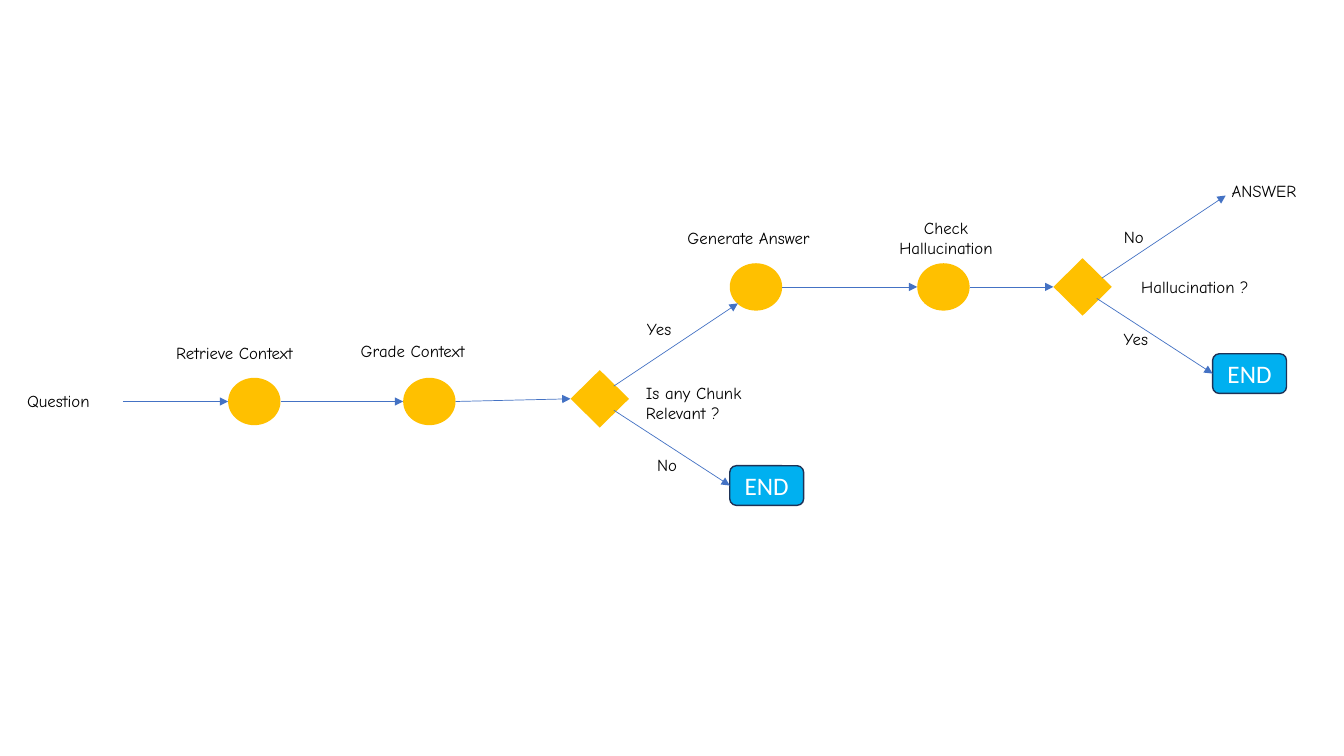
from lxml.etree import SubElement
from pptx import Presentation
from pptx.dml.color import RGBColor
from pptx.enum.shapes import MSO_CONNECTOR, MSO_SHAPE as Preset
from pptx.enum.text import MSO_ANCHOR as Anchor, MSO_AUTO_SIZE as AutoSize, PP_ALIGN as Align
from pptx.oxml.ns import qn
from pptx.util import Inches, Pt

COLORS = {
    "step": "FFC000",
    "end": "00B0F0",
    "end_border": "1E3256",
    "arrow": "4472C4",
    "text": "000000",
    "end_text": "FFFFFF",
}

presentation = Presentation()
presentation.slide_width = Inches(13.33)
presentation.slide_height = Inches(7.5)
slide = presentation.slides.add_slide(presentation.slide_layouts[6])

# Grid of 40 columns and 22.5 rows
COLUMN = presentation.slide_width / 40
ROW = presentation.slide_height / 22.5
LOWER_LANE, UPPER_LANE = 11.95, 8.54


def write_text(shape, text, font="Comic Neue", size=12, color="text", align=Align.LEFT):
    shape.text_frame.text = text
    for paragraph in shape.text_frame.paragraphs:
        paragraph.alignment = align
        paragraph.font.name = font
        paragraph.font.size = Pt(size)
        paragraph.font.color.rgb = RGBColor.from_string(COLORS[color])


def grid(column, row):
    return round(column * COLUMN), round(row * ROW)


# Nodes: kind, centre column, centre row
KINDS = {
    "step": (Preset.OVAL, 1.56, 1.41),
    "decision": (Preset.DIAMOND, 1.74, 1.71),
    "end": (Preset.ROUNDED_RECTANGLE, 2.2, 1.18),
}
NODES = {
    "retrieve": ("step", 7.57, LOWER_LANE),
    "grade": ("step", 12.78, LOWER_LANE),
    "relevant": ("decision", 17.85, 11.87),
    "generate": ("step", 22.5, UPPER_LANE),
    "check": ("step", 28.08, UPPER_LANE),
    "hallucination": ("decision", 32.22, UPPER_LANE),
    "irrelevant end": ("end", 22.82, 14.45),
    "hallucinated end": ("end", 37.19, 11.12),
}
nodes = {}
for name, (kind, column, row) in NODES.items():
    preset, width, height = KINDS[kind]
    shape = slide.shapes.add_shape(
        preset, *grid(column - width / 2, row - height / 2), *grid(width, height))
    shape.shadow.inherit = False
    shape.fill.solid()
    if kind == "end":
        shape.fill.fore_color.rgb = RGBColor.from_string(COLORS["end"])
        shape.line.color.rgb = RGBColor.from_string(COLORS["end_border"])
        shape.line.width = Pt(1)
        shape.text_frame.vertical_anchor = Anchor.MIDDLE
        write_text(shape, "END", font="Calibri", size=18, color="end_text", align=Align.CENTER)
    else:
        shape.fill.fore_color.rgb = RGBColor.from_string(COLORS["step"])
        shape.line.fill.background()
    nodes[name] = shape

# Arrows: start point, end point or the node whose left side is met
ARROWS = [
    ((3.66, LOWER_LANE), (6.79, LOWER_LANE)),
    ((8.35, LOWER_LANE), (12, LOWER_LANE)),
    ((13.56, LOWER_LANE), "relevant"),
    ((18.27, 11.49), (21.96, 9.03)),
    ((18.27, 12.21), "irrelevant end"),
    ((23.28, UPPER_LANE), (27.3, UPPER_LANE)),
    ((28.86, UPPER_LANE), "hallucination"),
    ((32.79, 8.28), (36.48, 5.82)),
    ((32.64, 8.88), "hallucinated end"),
]
for start, target in ARROWS:
    end = start if target in nodes else target
    arrow = slide.shapes.add_connector(MSO_CONNECTOR.STRAIGHT, *grid(*start), *grid(*end))
    if target in nodes:
        arrow.end_connect(nodes[target], 1)
    arrow.line.color.rgb = RGBColor.from_string(COLORS["arrow"])
    arrow.line.width = Pt(0.5)
    SubElement(arrow.line._get_or_add_ln(), qn("a:tailEnd"), type="triangle")
    SubElement(arrow._element.spPr, qn("a:effectLst"))

# Labels: text, left column, top row, width in columns, alignment
LABELS = [
    ("Question", 0.51, 11.49, 3.15, Align.LEFT),
    ("Retrieve Context", 4.95, 10.05, 5.22, Align.LEFT),
    ("Grade Context", 10.44, 9.99, 4.68, Align.LEFT),
    ("Is any Chunk\nRelevant ?", 18.93, 11.25, 4.56, Align.LEFT),
    ("Yes", 18.96, 9.33, 1.41, Align.LEFT),
    ("No", 19.26, 13.38, 1.35, Align.LEFT),
    ("Generate Answer", 20.16, 6.63, 5.31, Align.LEFT),
    ("Check\nHallucination", 25.77, 6.33, 4.77, Align.CENTER),
    ("Hallucination ?", 32.88, 8.1, 5.37, Align.CENTER),
    ("No", 33.15, 6.6, 1.35, Align.LEFT),
    ("Yes", 33.15, 9.63, 1.41, Align.LEFT),
    ("ANSWER", 36.36, 5.22, 2.88, Align.LEFT),
]
for text, column, row, width, align in LABELS:
    height = 0.9 + 0.6 * text.count("\n")
    label = slide.shapes.add_textbox(*grid(column, row), *grid(width, height))
    label.text_frame.word_wrap = False
    label.text_frame.auto_size = AutoSize.SHAPE_TO_FIT_TEXT
    write_text(label, text, align=align)

presentation.save("out.pptx")
